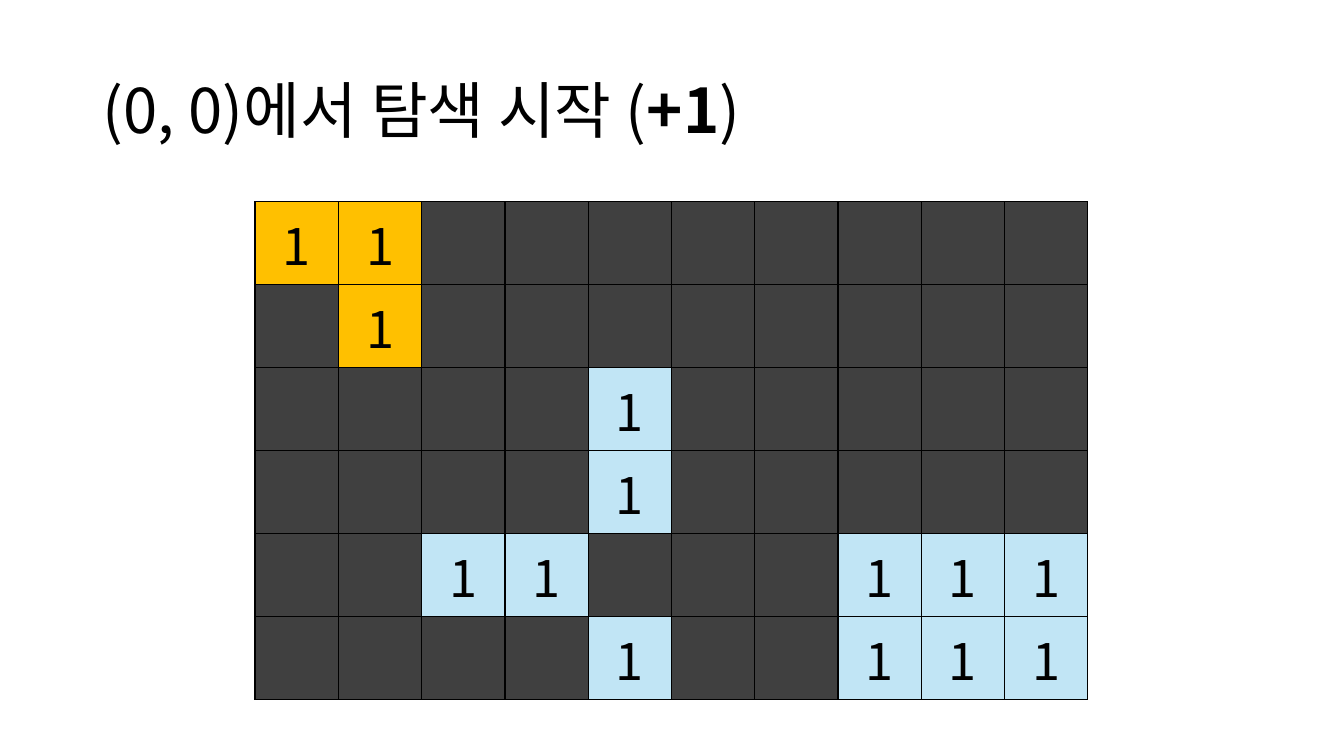
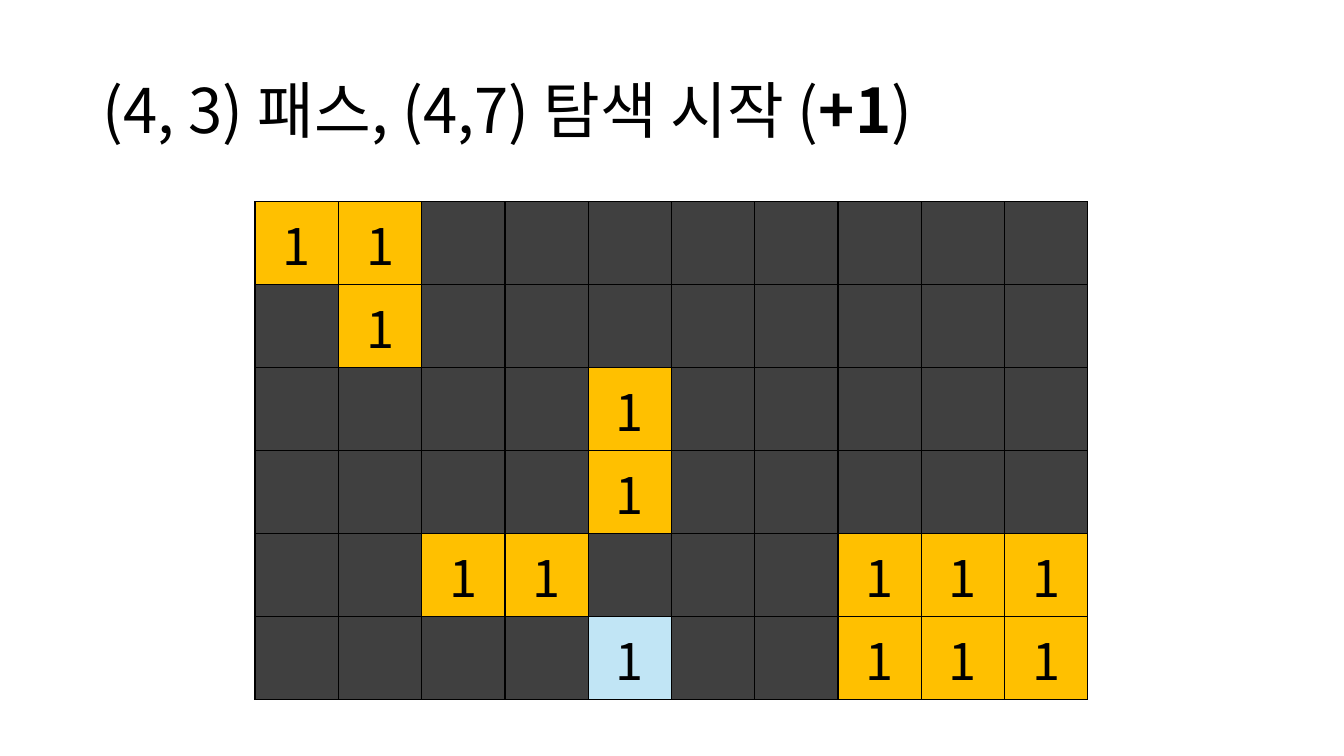
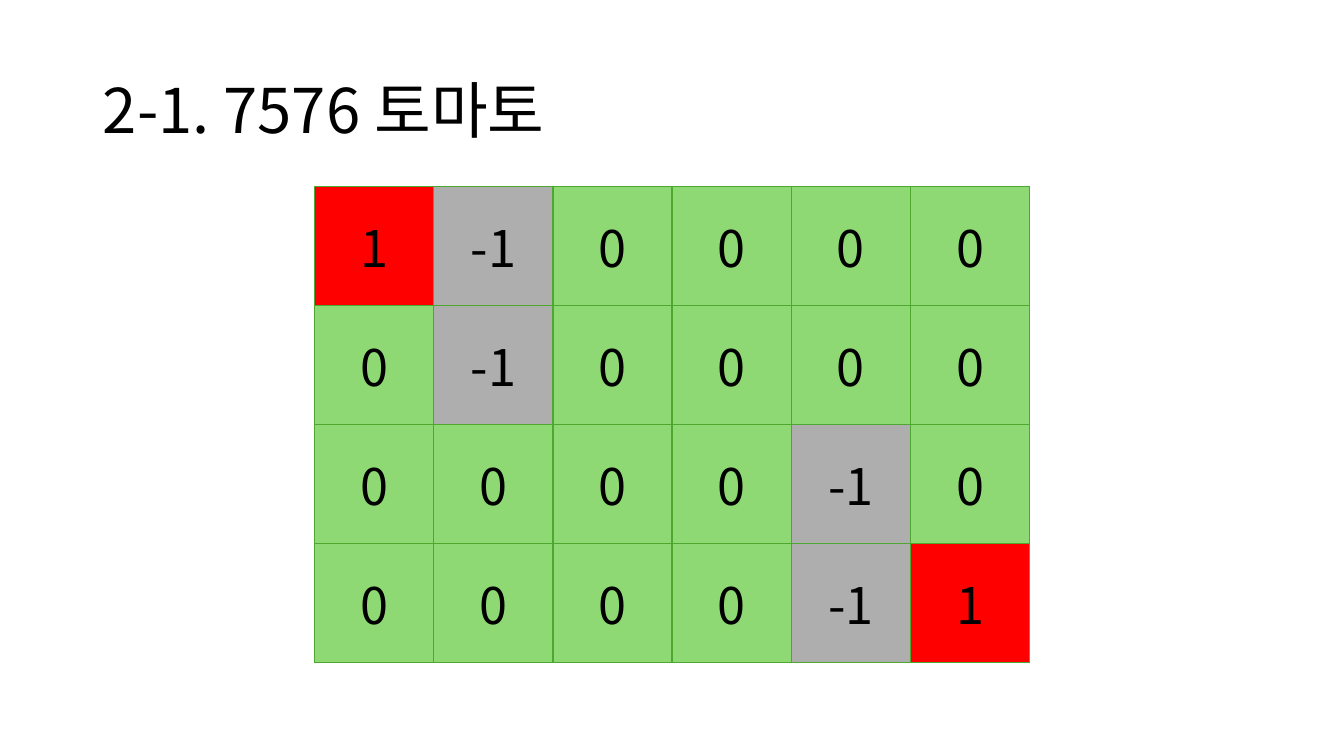
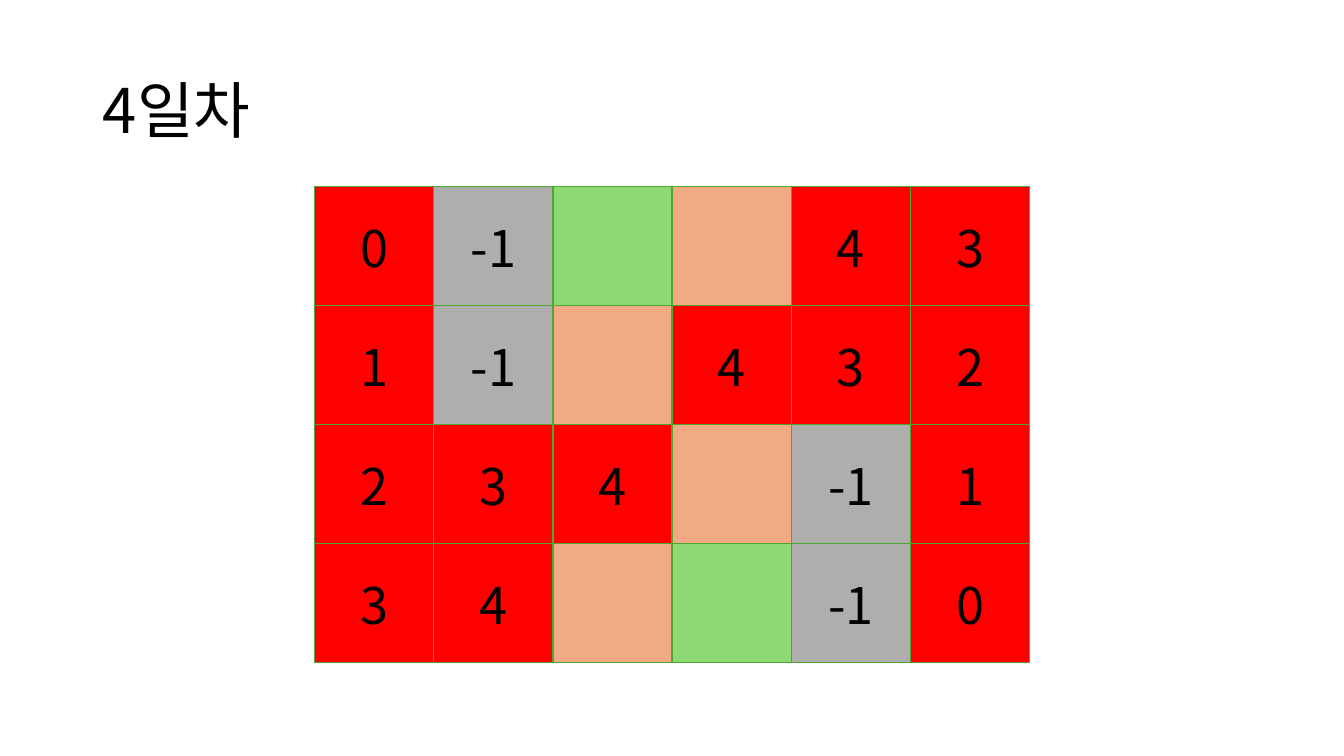
from dataclasses import dataclass

from lxml import etree
from pptx import Presentation
from pptx.dml.color import RGBColor
from pptx.enum.text import MSO_ANCHOR, MSO_AUTO_SIZE, PP_ALIGN
from pptx.oxml.ns import qn
from pptx.util import Inches, Pt

MIDDLE = MSO_ANCHOR.MIDDLE
NO_AUTOFIT = MSO_AUTO_SIZE.NONE
LEFT = PP_ALIGN.LEFT
CENTER = PP_ALIGN.CENTER

BLACK = RGBColor(0x00, 0x00, 0x00)
WALL = RGBColor(0x40, 0x40, 0x40)
VISITED = RGBColor(0xFF, 0xC0, 0x00)
UNVISITED = RGBColor(0xC1, 0xE5, 0xF5)
RIPE = RGBColor(0xFF, 0x00, 0x00)
NEXT_RIPE = RGBColor(0xF2, 0xAA, 0x84)
UNRIPE = RGBColor(0x8E, 0xD9, 0x73)
EMPTY_BOX = RGBColor(0xAE, 0xAE, 0xAE)
LEAF_LINE = RGBColor(0x4E, 0xA7, 0x2E)

FONT = "Noto Sans CJK KR"
TITLE_SIZE = Pt(44)
CELL_SIZE = Pt(36)
BORDER_WIDTH = Pt(1)
TITLE_ONLY = 5

SEARCH_LEGEND = {"#": ("", WALL), "v": ("1", VISITED), "o": ("1", UNVISITED)}
BOX_LEGEND = {"x": ("-1", EMPTY_BOX), "0": ("0", UNRIPE), "1": ("1", RIPE)}
DAY_LEGEND = {
    "x": ("-1", EMPTY_BOX),
    ".": ("", UNRIPE),
    "n": ("", NEXT_RIPE),
    **{day: (day, RIPE) for day in "01234"},
}

SEARCH_START = ["vv########", "#v########", "####o#####",
                "####o#####", "##oo###ooo", "####o##ooo"]
SEARCH_LATER = ["vv########", "#v########", "####v#####",
                "####v#####", "##vv###vvv", "####o##vvv"]
BOX_START = ["1x0000", "0x0000", "0000x0", "0000x1"]
BOX_DAY_FOUR = ["0x.n43", "1xn432", "234nx1", "34n.x0"]


@dataclass
class GridStyle:
    """Placement, cell size and border colour of a grid."""
    left: float
    top: float
    cell_width: float
    cell_height: float
    border: RGBColor


SEARCH_GRID = GridStyle(2.53, 2, 0.826, 0.78, BLACK)
TOMATO_GRID = GridStyle(3.12, 1.85, 1.182, 1.18, LEAF_LINE)


def add_run(paragraph, text, size, bold=False):
    """Add one run in the deck font, for Latin and Korean alike."""
    run = paragraph.add_run()
    run.text = text
    run.font.size = size
    run.font.bold = bold
    run.font.name = FONT
    run.font.color.rgb = BLACK
    latin = run.font._element.find(qn("a:latin"))
    east_asian = etree.Element(qn("a:ea"), typeface=FONT)
    latin.addnext(east_asian)


def place_layout_title(layout):
    """Set the title position that all slides inherit."""
    title = layout.placeholders[0]
    title.left, title.top = Inches(0.92), Inches(0.4)
    title.width, title.height = Inches(11.5), Inches(1.45)


def fill_title(slide, text, gain=""):
    """Write the slide title, with an optional bold gain in brackets."""
    frame = slide.shapes.title.text_frame
    frame.auto_size = NO_AUTOFIT
    frame.vertical_anchor = MIDDLE
    paragraph = frame.paragraphs[0]
    paragraph.alignment = LEFT
    paragraph.line_spacing = 0.9
    if gain:
        add_run(paragraph, f"{text} (", TITLE_SIZE)
        add_run(paragraph, gain, TITLE_SIZE, bold=True)
        add_run(paragraph, ")", TITLE_SIZE)
    else:
        add_run(paragraph, text, TITLE_SIZE)


def set_borders(cell, color):
    """Draw a solid line on the four sides of a cell."""
    properties = cell._tc.get_or_add_tcPr()
    for side in ("lnL", "lnR", "lnT", "lnB"):
        line = etree.SubElement(properties, qn(f"a:{side}"), w=str(BORDER_WIDTH))
        solid = etree.SubElement(line, qn("a:solidFill"))
        etree.SubElement(solid, qn("a:srgbClr"), val=str(color))


def fill_cell(cell, text, color, border):
    """Give a cell its borders, fill and centred value."""
    set_borders(cell, border)
    cell.fill.solid()
    cell.fill.fore_color.rgb = color
    cell.vertical_anchor = MIDDLE
    if text:
        paragraph = cell.text_frame.paragraphs[0]
        paragraph.alignment = CENTER
        add_run(paragraph, text, CELL_SIZE)


def add_grid(slide, rows, legend, style):
    """Add a table whose cells are looked up in a legend."""
    column_count = len(rows[0])
    table = slide.shapes.add_table(
        len(rows), column_count, Inches(style.left), Inches(style.top),
        Inches(style.cell_width * column_count),
        Inches(style.cell_height * len(rows))).table
    table.first_row = False
    table.horz_banding = False
    for row_index, row in enumerate(rows):
        for column_index, mark in enumerate(row):
            text, color = legend[mark]
            fill_cell(table.cell(row_index, column_index), text, color, style.border)


def main():
    """Build the four slides and save them."""
    deck = Presentation()
    deck.slide_width, deck.slide_height = Inches(13.33), Inches(7.5)
    layout = deck.slide_layouts[TITLE_ONLY]
    place_layout_title(layout)
    pages = [
        ("(0, 0)에서 탐색 시작", "+1", SEARCH_START, SEARCH_LEGEND, SEARCH_GRID),
        ("(4, 3) 패스, (4,7) 탐색 시작", "+1", SEARCH_LATER, SEARCH_LEGEND, SEARCH_GRID),
        ("2-1. 7576 토마토", "", BOX_START, BOX_LEGEND, TOMATO_GRID),
        ("4일차", "", BOX_DAY_FOUR, DAY_LEGEND, TOMATO_GRID),
    ]
    for title, gain, rows, legend, style in pages:
        slide = deck.slides.add_slide(layout)
        fill_title(slide, title, gain)
        add_grid(slide, rows, legend, style)
    deck.save("out.pptx")


if __name__ == "__main__":
    main()
